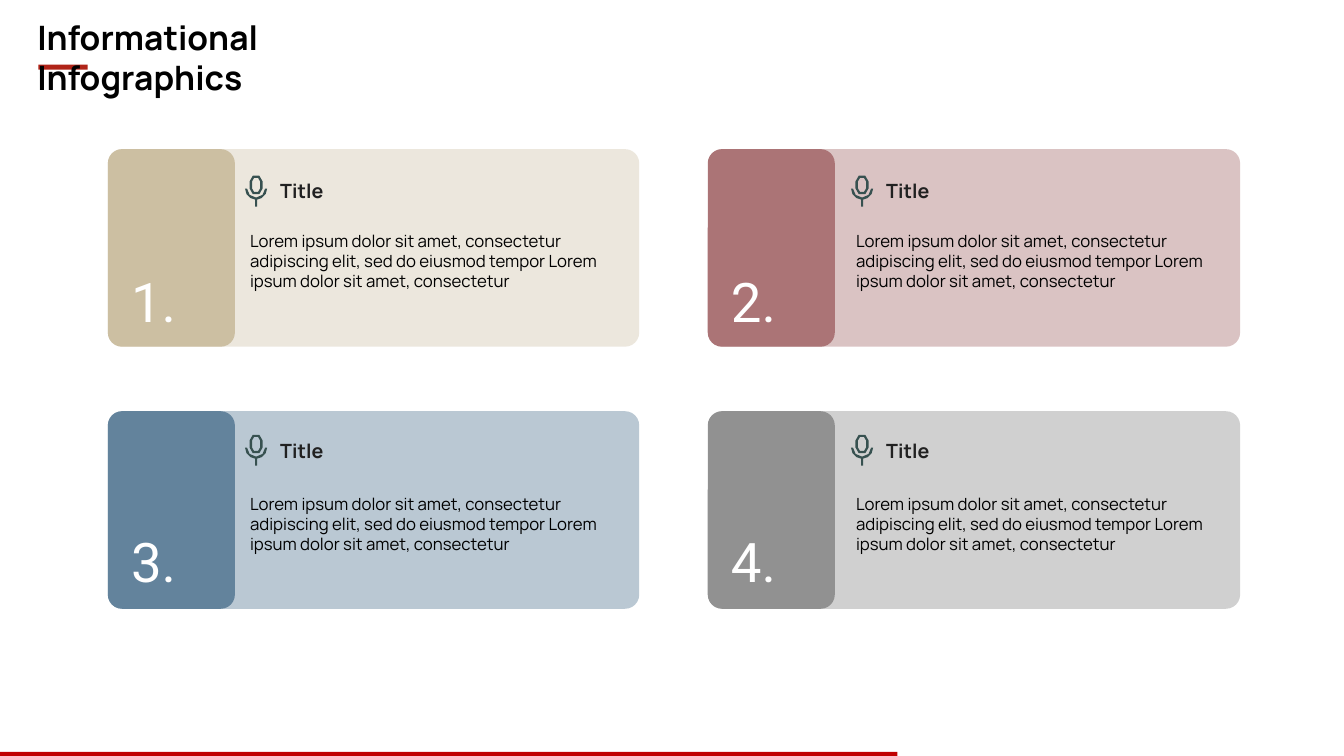
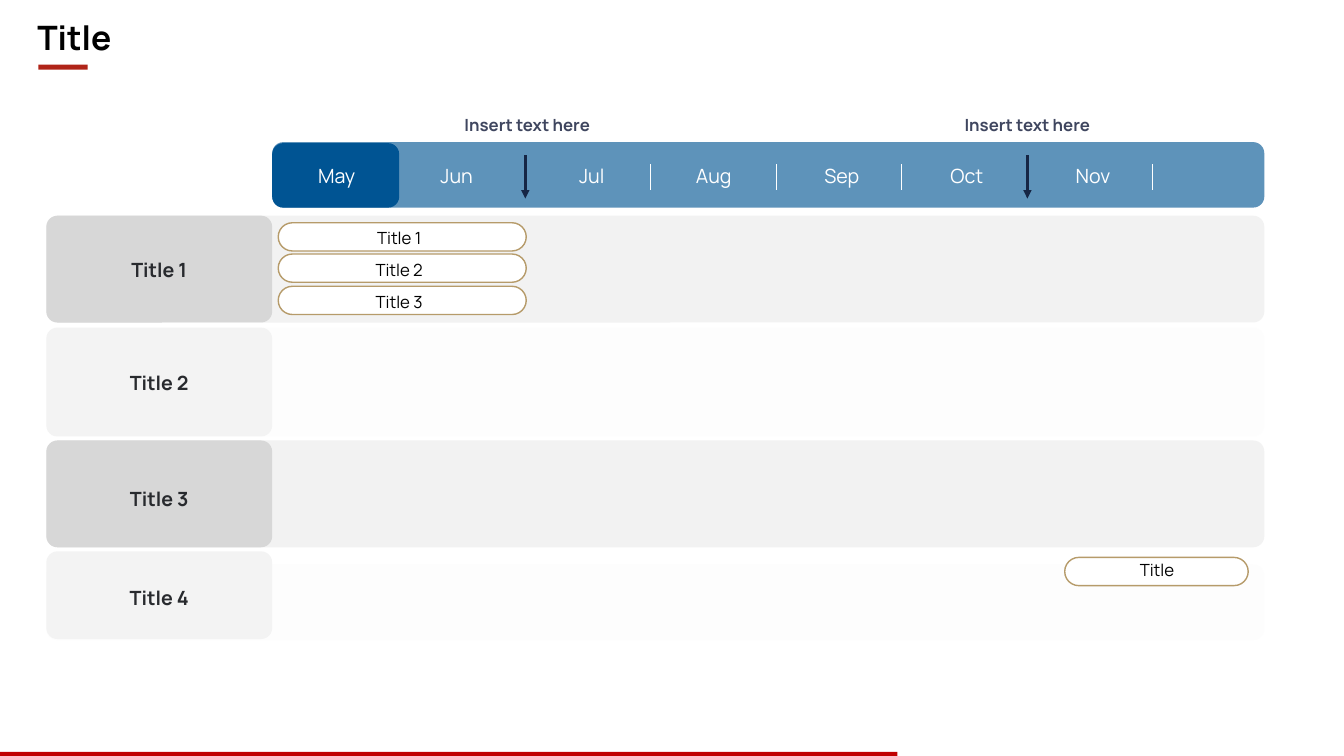
"""Builds two slides: four numbered cards and a monthly roadmap."""
from itertools import product
from math import cos, radians, sin

from lxml import etree
from pptx import Presentation
from pptx.dml.color import RGBColor
from pptx.enum.shapes import MSO_CONNECTOR as Conn, MSO_SHAPE as Kind
from pptx.enum.text import PP_ALIGN as Align
from pptx.oxml.ns import qn
from pptx.util import Inches, Pt

BLACK = RGBColor(0x00, 0x00, 0x00)
WHITE = RGBColor(0xFF, 0xFF, 0xFF)
RULE = RGBColor(0xB0, 0x24, 0x18)
FOOT = RGBColor(0xC0, 0x00, 0x00)
SAND = RGBColor(0xCC, 0xBF, 0xA2)
ROSE = RGBColor(0xAB, 0x74, 0x76)
STEEL = RGBColor(0x63, 0x83, 0x9C)
GREY = RGBColor(0x91, 0x91, 0x91)
GREEN = RGBColor(0x37, 0x51, 0x50)
INK = RGBColor(0x21, 0x21, 0x21)
COAL = RGBColor(0x28, 0x2A, 0x2E)
BLUE = RGBColor(0x00, 0x54, 0x93)
NAVY = RGBColor(0x16, 0x26, 0x45)
SLATE = RGBColor(0x3F, 0x46, 0x5F)
GOLD = RGBColor(0xB6, 0x9B, 0x6A)
DARK = RGBColor(0xD7, 0xD7, 0xD7)
MID = RGBColor(0xF3, 0xF3, 0xF3)
SOFT = RGBColor(0xF2, 0xF2, 0xF2)
PALE = RGBColor(0xFD, 0xFD, 0xFD)

LOREM = ("Lorem ipsum dolor sit amet, consectetur adipiscing elit, sed do "
         "eiusmod tempor Lorem ipsum dolor sit amet, consectetur")
CARDS = [("1.", SAND, 36), ("2.", ROSE, 43), ("3.", STEEL, 44), ("4.", GREY, 42)]
CARD_COLS = [(1.07, 1.07, 2.43), (7.03, 7.02, 8.44)]
CARD_ROWS = [(1.48, 1.73, 2.24, 2.61), (4.08, 4.3, 4.85, 5.19)]

MONTHS = [("May", 3.34), ("Jun", 4.53), ("Jul", 5.87), ("Aug", 7.08),
          ("Sep", 8.35), ("Oct", 9.59), ("Nov", 10.84)]
NOTES = {0: ("Insert text here", 4.25), 4: ("Insert text here", 9.21)}
ROWS = [("Title 1", 2.14, 1.06, 2.14, 1.06, 2.51, DARK, SOFT),
        ("Title 2", 3.25, 1.08, 3.25, 1.08, 3.63, MID, PALE),
        ("Title 3", 4.37, 1.06, 4.37, 1.06, 4.78, DARK, SOFT),
        ("Title 4", 5.47, 0.87, 5.6, 0.75, 5.76, MID, PALE)]
PILLS = [("Title 1", 2.76, 2.21, 2.46, 2.89, 2.14, 2.19),
         ("Title 2", 2.76, 2.52, 2.46, 2.98, 1.96, 2.51),
         ("Title 3", 2.76, 2.84, 2.46, 2.89, 2.14, 2.82),
         ("Title", 10.56, 5.53, 1.82, 10.9, 1.15, 5.48)]


def put(slide, text, x, y, w, h, size=12, color=BLACK, bold=False,
        font="Manrope", align=Align.LEFT, inset=0.05):
    frame = slide.shapes.add_textbox(*map(Inches, (x, y, w, h))).text_frame
    frame.word_wrap = True
    frame.margin_left = frame.margin_right = Inches(inset)
    frame.margin_top = frame.margin_bottom = Inches(inset)
    para = frame.paragraphs[0]
    para.alignment = align
    run = para.add_run()
    run.text = text
    run.font.name, run.font.size = font, Pt(size)
    run.font.bold, run.font.color.rgb = bold, color


def paint(shape, fill, alpha=100):
    shape.shadow.inherit = False
    shape.fill.solid()
    shape.fill.fore_color.rgb = fill
    shape.line.fill.background()
    if alpha < 100:
        tint = shape.fill._xPr.find(".//" + qn("a:srgbClr"))
        etree.SubElement(tint, qn("a:alpha")).set("val", str(alpha * 1000))


def block(slide, x, y, w, h, fill, radius=0.0, alpha=100, edge=None):
    kind = Kind.ROUNDED_RECTANGLE if radius else Kind.RECTANGLE
    shape = slide.shapes.add_shape(kind, *map(Inches, (x, y, w, h)))
    if radius:
        shape.adjustments[0] = radius / min(w, h)
    paint(shape, fill, alpha)
    if edge:
        shape.line.color.rgb, shape.line.width = edge, Pt(1)


def rule(slide, x, top, end, color, width, arrow=False):
    line = slide.shapes.add_connector(
        Conn.STRAIGHT, *map(Inches, (x, top, x, end)))
    line.line.color.rgb, line.line.width = color, Pt(width)
    if arrow:
        etree.SubElement(line.line._ln, qn("a:tailEnd")).set("type", "triangle")
    etree.SubElement(line._element.spPr, qn("a:effectLst"))


def arc(y, r, start, stop, step):
    count = abs(stop - start) // step
    turns = [radians(start + (stop - start) * i / count)
             for i in range(count + 1)]
    return [(0.11 + r * cos(t), y + r * sin(t)) for t in turns]


def capsule(r):
    return arc(0.14, r, 0, 180, 60) + arc(0.07, r, 180, 360, 60)


def mic(slide, x, y):
    stem = [(0.12, 0.25), (0.12, 0.32), (0.1, 0.32), (0.1, 0.25)]
    cradle = (arc(0.14, 0.11, 0, 60, 30) + stem + arc(0.14, 0.11, 120, 180, 30)
              + arc(0.14, 0.09, 180, 0, 45))
    group = slide.shapes.add_group_shape()
    for loops in ([cradle], [capsule(0.065), capsule(0.04)[::-1]]):
        loops = [[(Inches(x + a), Inches(y + b)) for a, b in loop]
                 for loop in loops]
        pen = group.shapes.build_freeform(*loops[0][0])
        for i, loop in enumerate(loops):
            if i:
                pen.move_to(*loop[0])
            pen.add_line_segments(loop[1:], close=True)
        paint(pen.convert_to_shape(), GREEN)


def start(deck, title, width):
    slide = deck.slides.add_slide(deck.slide_layouts[6])
    block(slide, 0.38, 0.64, 0.49, 0.05, RULE)
    block(slide, 0, 7.46, 8.9, 0.05, FOOT)
    put(slide, title, 0.32, 0.12, width, 0.5, size=24, bold=True)
    return slide


def cards(deck):
    slide = start(deck, "Informational Infographics", 4.3)
    for (num, color, alpha), (row, col) in zip(CARDS, product(CARD_ROWS, CARD_COLS)):
        (top, head, body, foot), (left, tab, inner) = row, col
        block(slide, left, top, 5.27, 1.96, color, 0.14, alpha)
        block(slide, tab, top, 1.26, 1.96, color, 0.14)
        put(slide, num, tab + 0.18, foot, 0.9, 0.79, size=39, color=WHITE,
            font="Roboto")
        mic(slide, inner, head)
        put(slide, "Title", inner + 0.3, head, 0.9, 0.32, size=14, color=INK,
            bold=True)
        put(slide, LOREM, inner, body, 3.55, 0.68)


def roadmap(deck):
    slide = start(deck, "Title", 0.9)
    for name, top, high, track, deep, text, dark, light in ROWS:
        block(slide, 0.46, track, 12.08, deep, light, 0.11)
        block(slide, 0.46, top, 2.24, high, dark, 0.11)
        put(slide, name, 1.13, text, 0.9, 0.32, size=14, color=COAL, bold=True,
            align=Align.CENTER)
    for name, x, y, w, left, wide, text in PILLS:
        block(slide, x, y, w, 0.28, WHITE, 0.14, edge=GOLD)
        put(slide, name, left, text, wide, 0.31, align=Align.CENTER, inset=0.07)
    block(slide, 2.7, 1.41, 9.84, 0.65, BLUE, 0.11, 63)
    block(slide, 2.7, 1.42, 1.26, 0.64, BLUE, 0.11)
    for name, mid in MONTHS:
        put(slide, name, mid - 0.3, 1.58, 0.6, 0.33, size=14, color=WHITE,
            align=Align.CENTER)
    for i in range(6):
        x = 5.21 + 1.245 * i
        if i in NOTES:
            note, left = NOTES[i]
            rule(slide, x, 1.54, 1.97, NAVY, 2, arrow=True)
            put(slide, note, left, 1.07, 1.96, 0.31, color=SLATE, bold=True,
                align=Align.CENTER, inset=0.07)
        else:
            rule(slide, x, 1.63, 1.89, WHITE, 0.75)


def main():
    deck = Presentation()
    deck.slide_width, deck.slide_height = Inches(13.33), Inches(7.5)
    cards(deck)
    roadmap(deck)
    deck.save("out.pptx")


if __name__ == "__main__":
    main()
